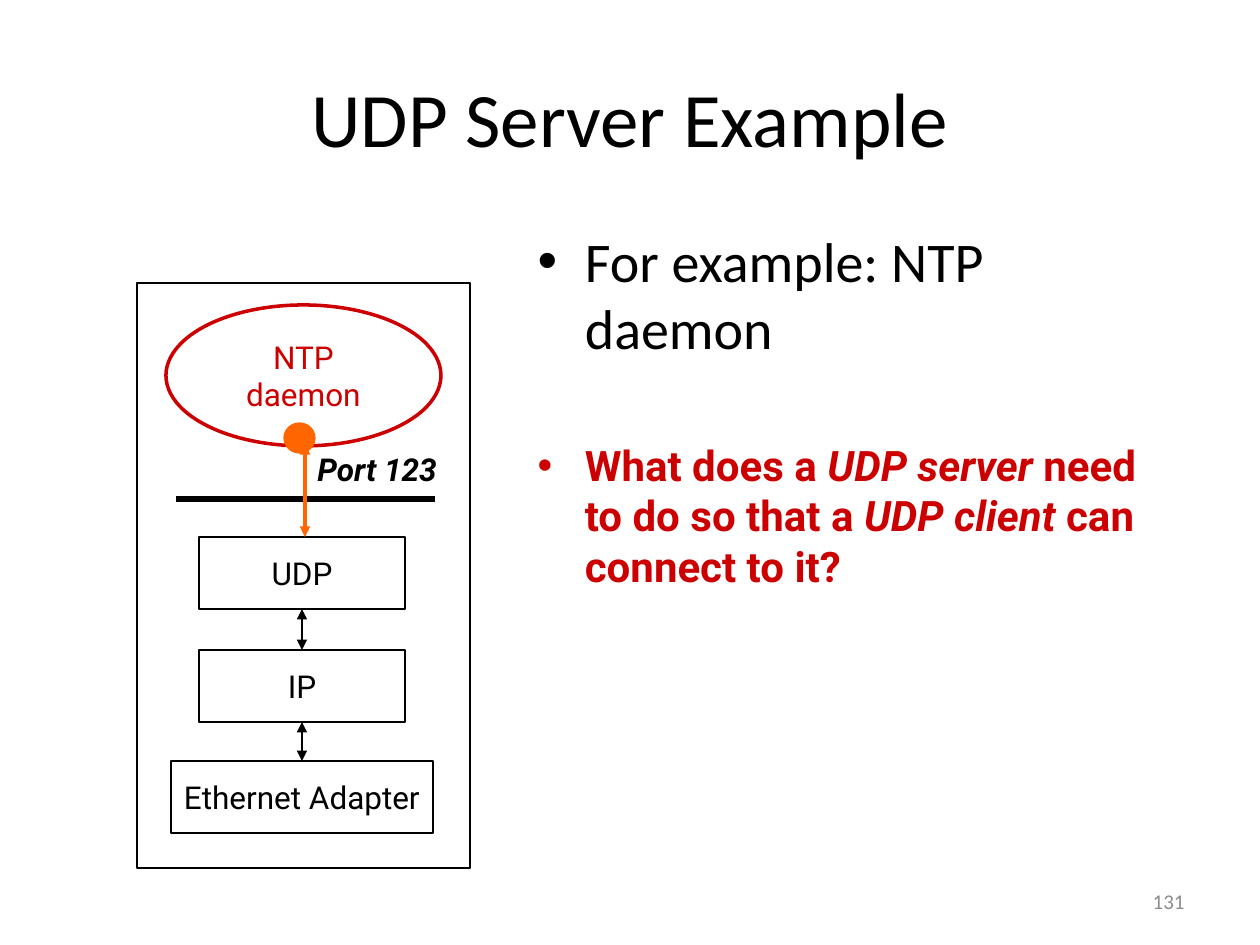
import pptx
import pptx.util
import pptx.dml.color
import pptx.enum.shapes
import pptx.enum.text
import pptx.oxml.ns
import lxml.etree

RGB = pptx.dml.color.RGBColor
BLACK = RGB(0x00, 0x00, 0x00)
RED = RGB(0xCC, 0x00, 0x00)
ORANGE = RGB(0xFF, 0x66, 0x00)
GREY = RGB(0x8C, 0x8C, 0x8C)
KIND = pptx.enum.shapes.MSO_SHAPE
ALIGN = pptx.enum.text.PP_ALIGN
ANCHOR = pptx.enum.text.MSO_ANCHOR
SCALE = 914400 / 126  # EMU per px

# Content: a run is (text, bold, italic)
TITLE = "UDP Server Example"
POINTS = [  # size, font, colour, space before, runs
    (32, "Calibri", BLACK, None, [("For example: NTP daemon", False, False)]),
    (24, "Roboto", RED, 45, [
        ("What does a ", True, False),
        ("UDP server", True, True),
        (" need to do so that a ", True, False),
        ("UDP client", True, True),
        (" can connect to it?", True, False)]),
]
LAYERS = [  # name, top, width
    ("UDP", 537, 206),
    ("IP", 650, 206),
    ("Ethernet Adapter", 761, 262),
]
AXIS, TALL = 302, 72
DAEMON = ["NTP", "daemon"]
PORT = "Port 123"
NUMBER = "131"


def px(*vals):
    return [round(v * SCALE) for v in vals]


def add_run(para, text, size, font, color, bold=False, italic=False):
    run = para.add_run()
    run.text = text
    run.font.size = pptx.util.Pt(size)
    run.font.name = font
    run.font.color.rgb = color
    run.font.bold, run.font.italic = bold, italic


def fill_text(shape, lines, color, size=18, font="Roboto", align=ALIGN.CENTER,
              anchor=ANCHOR.MIDDLE, bold=False, italic=False):
    frame = shape.text_frame
    frame.word_wrap = False
    frame.vertical_anchor = anchor
    for i, line in enumerate(lines):
        para = frame.add_paragraph() if i else frame.paragraphs[0]
        para.alignment = align
        add_run(para, line, size, font, color, bold, italic)


def add_shape(kind, box, color, width, fill=None):
    shape = slide.shapes.add_shape(kind, *px(*box))
    shape.shadow.inherit = False
    shape.line.color.rgb = color
    shape.line.width = pptx.util.Pt(width)
    if fill is None:
        shape.fill.background()
    else:
        shape.fill.solid()
        shape.fill.fore_color.rgb = fill
    return shape


def add_line(ends, color, width, arrows=True):
    line = slide.shapes.add_connector(
        pptx.enum.shapes.MSO_CONNECTOR.STRAIGHT, *px(*ends))
    line.line.color.rgb = color
    line.line.width = pptx.util.Pt(width)
    qn = pptx.oxml.ns.qn
    if arrows:
        stroke = line.line._get_or_add_ln()
        for tag in ("a:headEnd", "a:tailEnd"):
            lxml.etree.SubElement(stroke, qn(tag), type="triangle")
    lxml.etree.SubElement(line._element.spPr, qn("a:effectLst"))
    return line


deck = pptx.Presentation()
deck.slide_width, deck.slide_height = px(1260, 945)
slide = deck.slides.add_slide(deck.slide_layouts[1])
title, body = slide.placeholders

# Title
title.left, title.top, title.width, title.height = px(63, 38, 1134, 157)
fill_text(title, [TITLE], BLACK, 44, "Calibri")
title.text_frame.word_wrap = True

# Bullet list
body.left, body.top, body.width, body.height = px(525, 220, 651, 662)
frame = body.text_frame
frame.word_wrap = True
frame.auto_size = pptx.enum.text.MSO_AUTO_SIZE.NONE
for i, (size, font, color, gap, runs) in enumerate(POINTS):
    para = frame.add_paragraph() if i else frame.paragraphs[0]
    if gap:
        para.space_before = pptx.util.Pt(gap)
    for text, bold, italic in runs:
        add_run(para, text, size, font, color, bold, italic)

# Host frame and protocol layers
add_shape(KIND.RECTANGLE, (137, 283, 333, 585), BLACK, 0.75)
boxes = []
for name, top, wide in LAYERS:
    box = add_shape(KIND.RECTANGLE, (AXIS - wide / 2, top, wide, TALL), BLACK, 1)
    fill_text(box, [name], BLACK)
    boxes.append(box)
for upper, lower in zip(boxes, boxes[1:]):
    link = add_line((0, 0, 0, 0), BLACK, 0.75)
    link.begin_connect(upper, 2)
    link.end_connect(lower, 0)

# Daemon, port and the boundary line
daemon = add_shape(KIND.OVAL, (166, 305, 275, 141), RED, 2)
fill_text(daemon, DAEMON, RED)
add_line((176, 499, 435, 499), BLACK, 3, arrows=False)
add_shape(KIND.OVAL, (284, 423, 31, 30), ORANGE, 0.75, ORANGE)
add_line((305, 444, 305, 537), ORANGE, 2)
port = slide.shapes.add_textbox(*px(305, 444, 149, 50))
fill_text(port, [PORT], BLACK, align=ALIGN.LEFT, anchor=ANCHOR.TOP,
          bold=True, italic=True)

# Slide number
number = slide.shapes.add_textbox(*px(903, 876, 294, 50))
fill_text(number, [NUMBER], GREY, 12, "Calibri", ALIGN.RIGHT)
number.text_frame.word_wrap = True

deck.save("out.pptx")
